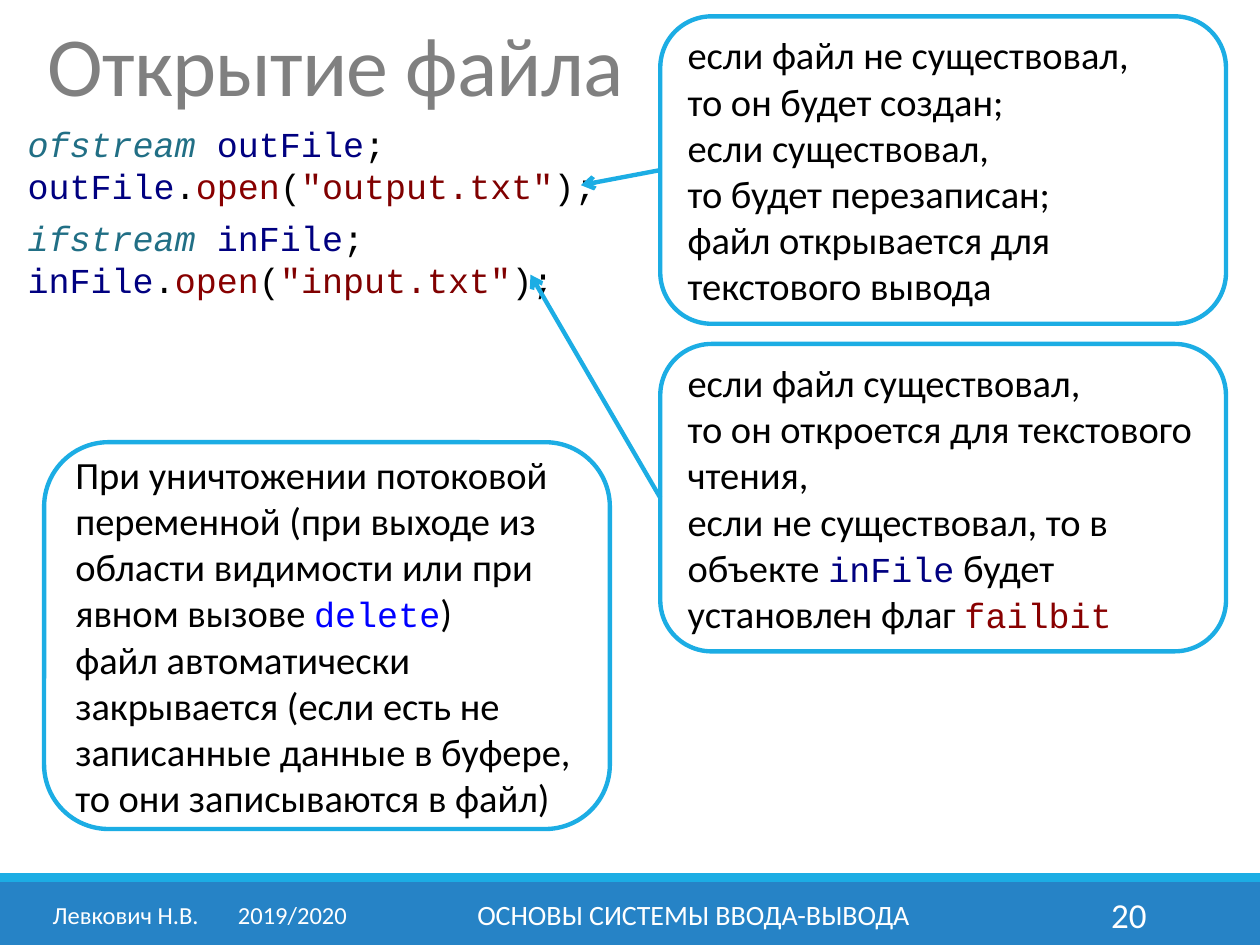
from dataclasses import dataclass

from lxml import etree
from pptx import Presentation
from pptx.dml.color import RGBColor
from pptx.enum.shapes import MSO_CONNECTOR, MSO_SHAPE
from pptx.enum.text import MSO_ANCHOR, MSO_AUTO_SIZE, PP_ALIGN
from pptx.oxml.ns import qn
from pptx.util import Inches, Pt

LEFT, CENTER, RIGHT = PP_ALIGN.LEFT, PP_ALIGN.CENTER, PP_ALIGN.RIGHT
TOP, MIDDLE = MSO_ANCHOR.TOP, MSO_ANCHOR.MIDDLE
RECT, ROUNDED = MSO_SHAPE.RECTANGLE, MSO_SHAPE.ROUNDED_RECTANGLE
STRAIGHT = MSO_CONNECTOR.STRAIGHT


@dataclass(frozen=True)
class Theme:
    """Colours, fonts and type sizes of the slide."""
    title: str = "808080"
    text: str = "000000"
    white: str = "FFFFFF"
    accent: str = "1CADE4"
    band: str = "2683C6"
    type_name: str = "216F85"
    variable: str = "000080"
    call: str = "880000"
    string: str = "800000"
    keyword: str = "0000FF"
    body_font: str = "Calibri"
    code_font: str = "Courier New"
    title_size: int = 48
    note_size: int = 22
    code_size: int = 20
    author_size: int = 14
    topic_size: int = 16
    number_size: int = 20
    line_width: float = 2.5


THEME = Theme()

# Rich text is a list of (words, colour) pairs; colour None means body text.
TITLE = "Открытие файла"


def declaration(stream, variable):
    """Return the tokens of a stream declaration."""
    return [(stream, THEME.type_name), (" ", THEME.text),
            (variable, THEME.variable), (";", THEME.text)]


def opening(variable, file_name):
    """Return the tokens of a call that opens a file."""
    return [(variable, THEME.variable), (".", THEME.text), ("open", THEME.call),
            ("(", THEME.text), (f'"{file_name}"', THEME.string), (");", THEME.text)]


CODE = [
    declaration("ofstream", "outFile"), opening("outFile", "output.txt"),
    declaration("ifstream", "inFile"), opening("inFile", "input.txt"),
]
WRITE_NOTE = [("если файл не существовал,\nто он будет создан;\nесли существовал,\n"
               "то будет перезаписан;\nфайл открывается для текстового вывода", None)]
READ_NOTE = [
    ("если файл существовал,\nто он откроется для текстового чтения,\n"
     "если не существовал, то в объекте ", None),
    ("inFile", THEME.variable), (" будет установлен флаг ", None),
    ("failbit", THEME.call),
]
CLOSE_NOTE = [
    ("При уничтожении потоковой переменной (при выходе из области видимости "
     "или при явном вызове ", None),
    ("delete", THEME.keyword),
    (")\nфайл автоматически закрывается (если есть не записанные данные "
     "в буфере, то они записываются в файл)", None),
]
NOTE_WIDTH = 4.49
# left, top, height, words, arrow target
NOTES = [
    (5.24, 0.13, 2.44, WRITE_NOTE, (4.61, 1.47)),
    (5.24, 2.73, 2.44, READ_NOTE, (4.21, 2.18)),
    (0.35, 3.51, 3.07, CLOSE_NOTE, None),
]
BANDS = [(7, 0.5, THEME.band), (6.93, 0.07, THEME.accent)]
# left, width, words, size, alignment
FOOTER = [
    (0.32, 2.61, "Левкович Н.В.\t2019/2020", THEME.author_size, LEFT),
    (3.02, 4.97, "ОСНОВЫ СИСТЕМЫ ВВОДА-ВЫВОДА", THEME.topic_size, CENTER),
    (8.12, 1.08, "20", THEME.number_size, RIGHT),
]
FOOTER_TOP, FOOTER_HEIGHT, YEAR_TAB = 7.06, 0.4, 1.47


def rgb(colour):
    """Turn a hex string into a colour."""
    return RGBColor.from_string(colour)


def write(frame, lines, *, size, color=THEME.text, align=LEFT, anchor=TOP,
          gaps=None, line_spacing=None):
    """Fill a text frame; coloured tokens are set in the code font."""
    frame.word_wrap = True
    frame.auto_size = MSO_AUTO_SIZE.NONE
    frame.vertical_anchor = anchor
    for index, tokens in enumerate(lines):
        paragraph = frame.add_paragraph() if index else frame.paragraphs[0]
        paragraph.alignment = align
        paragraph.space_before = Pt((gaps or {}).get(index, 0))
        if line_spacing:
            paragraph.line_spacing = line_spacing
        for words, token_color in tokens:
            for part, piece in enumerate(words.split("\n")):
                if part:
                    paragraph.add_line_break()
                run = paragraph.add_run()
                run.text = piece
                font = run.font
                font.name = THEME.code_font if token_color else THEME.body_font
                font.size = Pt(THEME.code_size if token_color else size)
                font.color.rgb = rgb(token_color or color)
                font.italic = token_color == THEME.type_name


def add_box(slide, preset, left, top, width, height, fill, line=None):
    """Add a filled preset shape with an optional outline."""
    box = slide.shapes.add_shape(preset, *map(Inches, (left, top, width, height)))
    box.shadow.inherit = False
    box.fill.solid()
    box.fill.fore_color.rgb = rgb(fill)
    if line:
        box.line.color.rgb = rgb(line)
        box.line.width = Pt(THEME.line_width)
    else:
        box.line.fill.background()
    return box


def add_arrow(slide, start, end):
    """Draw an arrow from a note to the code."""
    arrow = slide.shapes.add_connector(STRAIGHT, *map(Inches, (*start, *end)))
    arrow.line.color.rgb = rgb(THEME.accent)
    arrow.line.width = Pt(THEME.line_width)
    etree.SubElement(arrow.line._get_or_add_ln(), qn("a:tailEnd"), type="arrow")
    etree.SubElement(arrow._element.spPr, qn("a:effectLst"))


def add_text(slide, left, top, width, height, lines, **style):
    """Add a text box."""
    box = slide.shapes.add_textbox(*map(Inches, (left, top, width, height)))
    write(box.text_frame, lines, **style)
    return box


def add_title(slide):
    """Place and format the title placeholder."""
    title = slide.shapes.title
    title.left, title.top, title.width, title.height = map(
        Inches, (0.28, 0.13, 4.84, 0.87))
    write(title.text_frame, [[(TITLE, None)]], size=THEME.title_size,
          color=THEME.title, anchor=MIDDLE, line_spacing=0.85)
    title.text_frame.paragraphs[0].runs[0].font._element.set("spc", "-50")


def add_footer(slide):
    """Write the author, topic and page number on the band."""
    for left, width, words, size, align in FOOTER:
        box = add_text(slide, left, FOOTER_TOP, width, FOOTER_HEIGHT,
                       [[(words, None)]], size=size, color=THEME.white,
                       align=align, anchor=MIDDLE)
        if "\t" in words:
            properties = box.text_frame.paragraphs[0]._p.get_or_add_pPr()
            tabs = etree.SubElement(properties, qn("a:tabLst"))
            etree.SubElement(tabs, qn("a:tab"), pos=str(Inches(YEAR_TAB)), algn="l")


def main():
    """Build the slide."""
    deck = Presentation()
    deck.slide_width, deck.slide_height = Inches(10), Inches(7.5)
    slide = deck.slides.add_slide(deck.slide_layouts.get_by_name("Title Only"))
    for top, height, fill in BANDS:
        add_box(slide, RECT, 0, top, 10, height, fill)
    add_title(slide)
    add_text(slide, 0.12, 0.92, 9.61, 1.53, CODE, size=THEME.code_size, gaps={2: 6})
    for left, top, height, words, target in NOTES:
        note = add_box(slide, ROUNDED, left, top, NOTE_WIDTH, height,
                       THEME.white, THEME.accent)
        write(note.text_frame, [words], size=THEME.note_size, anchor=MIDDLE)
        if target:
            add_arrow(slide, (left, top + height / 2), target)
    add_footer(slide)
    deck.save("out.pptx")


main()
